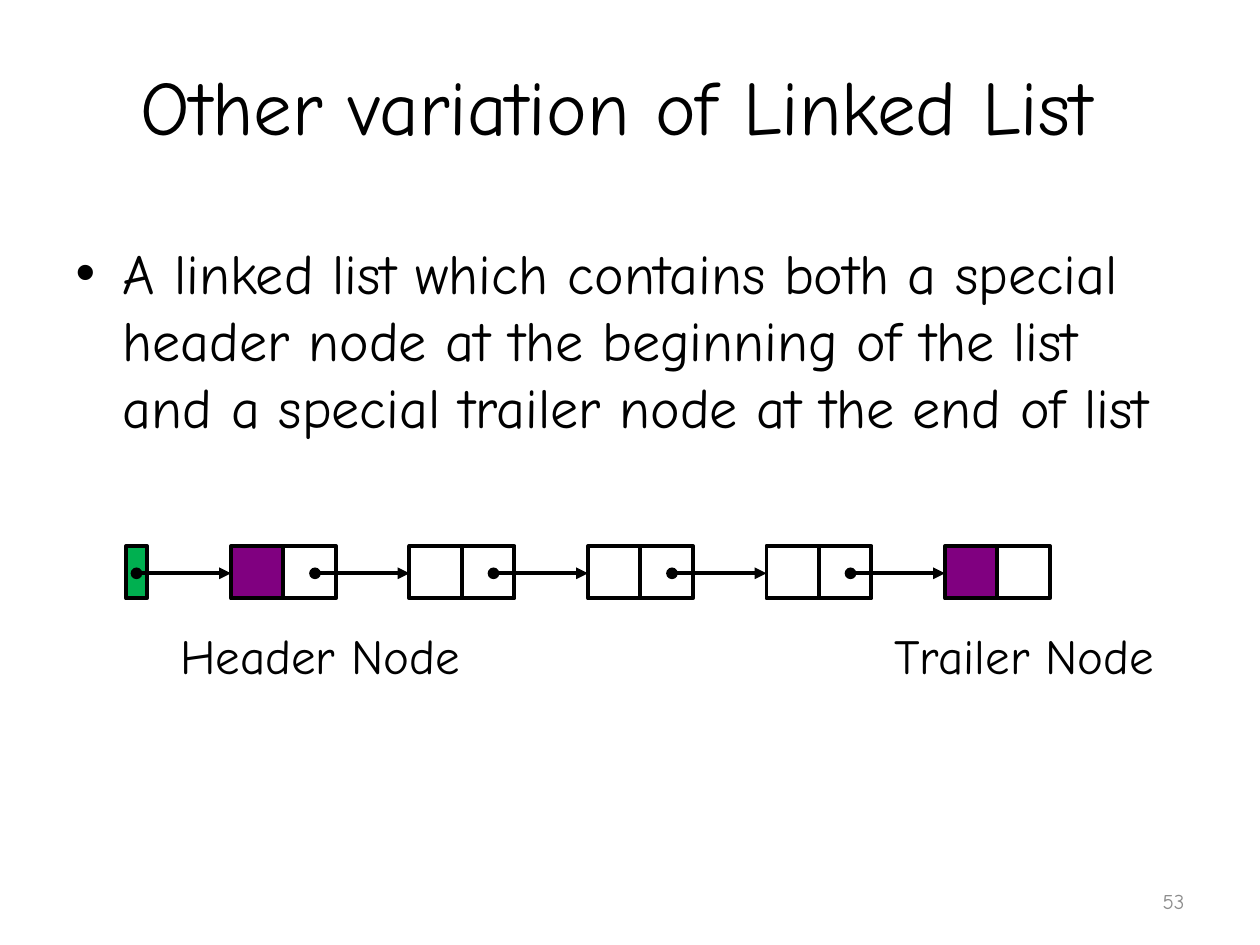
from lxml import etree
from pptx import Presentation
from pptx import util as u
from pptx.dml.color import RGBColor
from pptx.enum import shapes, text
from pptx.oxml.ns import qn

EMU_PER_PX = 7620  # 120 px to the inch
BLACK, GRAY, PURPLE, GREEN = "000000", "8C8C8C", "800080", "00B050"

CELL, NODE_PITCH, NODE_COUNT = 50, 170, 5
FIRST_NODE, NODE_TOP, ARROW_Y, ARROW_LENGTH = 220, 520, 546, 90


def px(length):
    return u.Emu(length * EMU_PER_PX)


def color(hex_string):
    return RGBColor.from_string(hex_string)


class SlideBuilder:
    font_name = "Comic Neue"
    line_width = u.Pt(2.25)

    def __init__(self, slide):
        self.slide = slide

    def set_text(self, shape, words, size, align, anchor, ink=BLACK):
        frame = shape.text_frame
        frame.word_wrap = True
        frame.auto_size = text.MSO_AUTO_SIZE.NONE
        frame.vertical_anchor = anchor
        frame.text = words
        paragraph = frame.paragraphs[0]
        paragraph.alignment = align
        paragraph.space_before = u.Pt(0)
        paragraph.font.name = self.font_name
        paragraph.font.size = u.Pt(size)
        paragraph.font.color.rgb = color(ink)
        return paragraph

    def place(self, shape, left, top, width, height):
        shape.left, shape.top = px(left), px(top)
        shape.width, shape.height = px(width), px(height)

    def title(self, words, *box):
        shape = self.slide.shapes.title
        self.place(shape, *box)
        self.set_text(shape, words, 44, text.PP_ALIGN.CENTER, text.MSO_ANCHOR.MIDDLE)

    def bullet(self, words, *box):
        shape = self.slide.placeholders[1]
        self.place(shape, *box)
        paragraph = self.set_text(shape, words, 32, text.PP_ALIGN.LEFT, text.MSO_ANCHOR.TOP)
        properties = paragraph._p.get_or_add_pPr()
        properties.set("marL", str(px(45)))
        properties.set("indent", str(px(-45)))
        mark = etree.Element(qn("a:buChar"), char="•")
        properties.insert_element_before(mark, "a:tabLst", "a:defRPr", "a:extLst")

    def label(self, words, box, size=28, align=text.PP_ALIGN.LEFT,
              anchor=text.MSO_ANCHOR.TOP, ink=BLACK):
        shape = self.slide.shapes.add_textbox(*map(px, box))
        self.set_text(shape, words, size, align, anchor, ink)

    def cell(self, left, width=CELL, fill=None):
        shape = self.slide.shapes.add_shape(
            shapes.MSO_SHAPE.RECTANGLE, px(left), px(NODE_TOP), px(width), px(CELL))
        shape.shadow.inherit = False
        if fill:
            shape.fill.solid()
            shape.fill.fore_color.rgb = color(fill)
        else:
            shape.fill.background()
        shape.line.color.rgb = color(BLACK)
        shape.line.width = self.line_width

    def node(self, left, fill=None):
        """Draw a pointer cell with the data cell on its left."""
        self.cell(left + CELL)
        self.cell(left, fill=fill)

    def arrow_to(self, node_left):
        connector = self.slide.shapes.add_connector(
            shapes.MSO_CONNECTOR.STRAIGHT, px(node_left - ARROW_LENGTH), px(ARROW_Y),
            px(node_left), px(ARROW_Y))
        connector.line.color.rgb = color(BLACK)
        connector.line.width = self.line_width
        line = connector.line._get_or_add_ln()
        etree.SubElement(line, qn("a:headEnd"), type="oval")
        etree.SubElement(line, qn("a:tailEnd"), type="triangle")
        etree.SubElement(connector._element.spPr, qn("a:effectLst"))


def main():
    presentation = Presentation()
    presentation.slide_width, presentation.slide_height = px(1200), px(900)
    builder = SlideBuilder(presentation.slides.add_slide(presentation.slide_layouts[1]))

    builder.title("Other variation of Linked List ", 60, 50, 1080, 100)
    builder.bullet(
        "A linked list which contains both a special header node at the beginning "
        "of the list and a special trailer node at the end of list",
        60, 221, 1080, 583)

    builder.cell(120, width=20, fill=GREEN)
    node_lefts = [FIRST_NODE + NODE_PITCH * i for i in range(NODE_COUNT)]
    for left in node_lefts:
        is_special = left in (node_lefts[0], node_lefts[-1])
        builder.node(left, PURPLE if is_special else None)
    for left in node_lefts:
        builder.arrow_to(left)

    builder.label("Header Node", (160, 590, 330, 68))
    builder.label("Trailer Node", (840, 590, 330, 68))
    builder.label("53", (860, 834, 280, 48), 12, text.PP_ALIGN.RIGHT,
                  text.MSO_ANCHOR.MIDDLE, GRAY)
    presentation.save("out.pptx")


if __name__ == "__main__":
    main()
